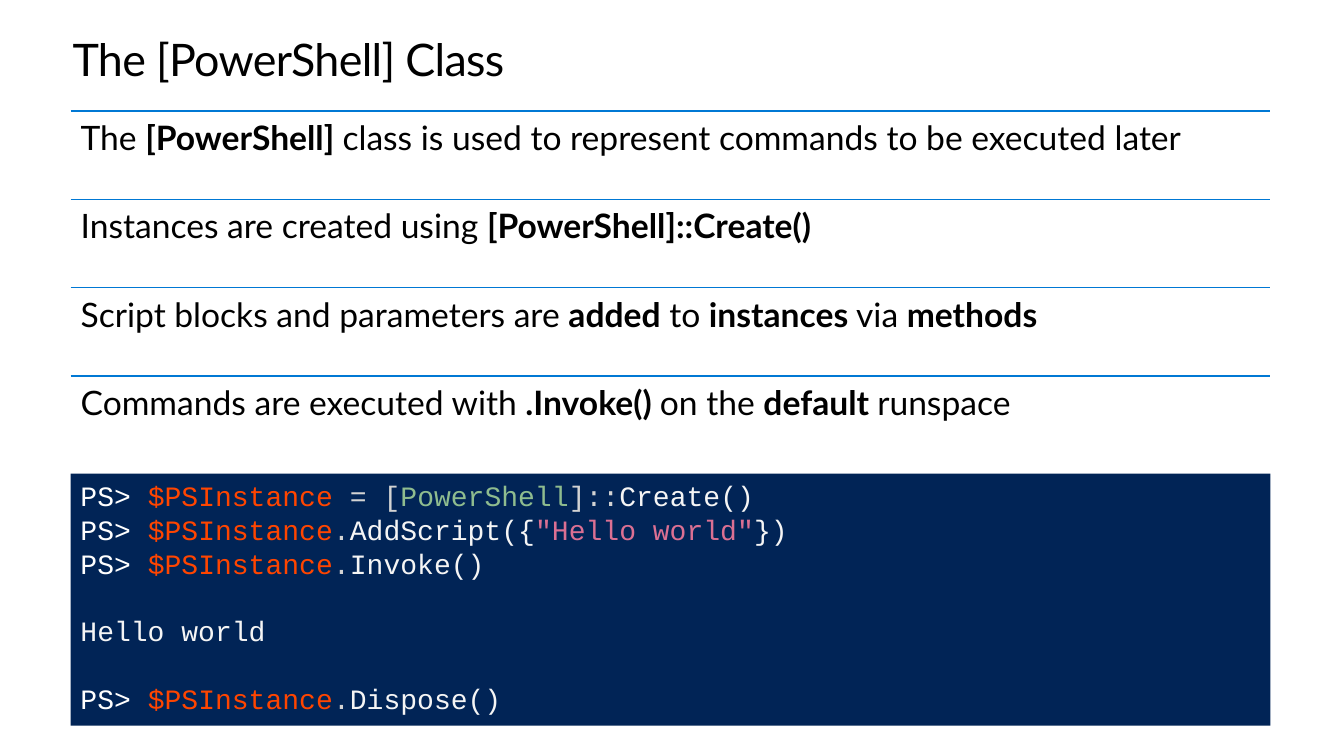
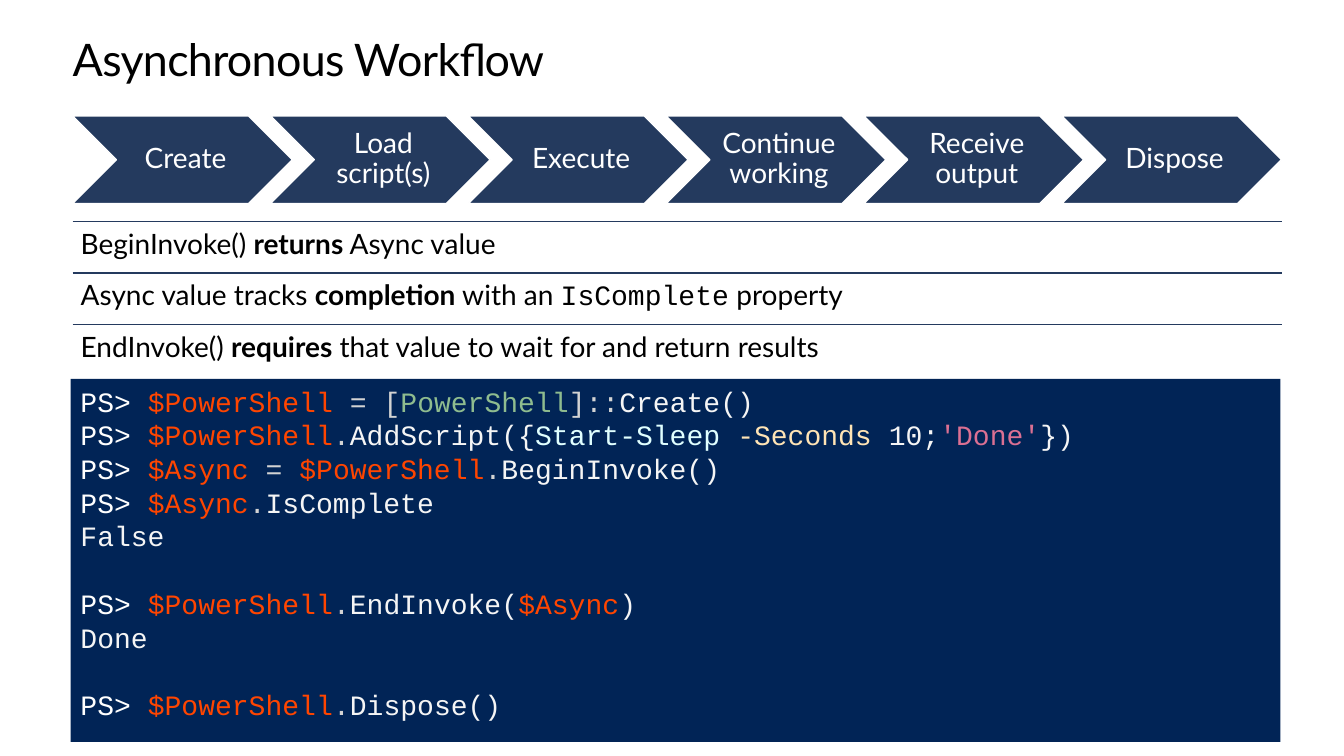
from lxml.etree import SubElement
from pptx import Presentation
from pptx.dml.color import RGBColor
from pptx.enum.shapes import MSO_CONNECTOR, MSO_SHAPE
from pptx.enum.text import MSO_ANCHOR, MSO_AUTO_SIZE, PP_ALIGN
from pptx.oxml.ns import qn
from pptx.util import Inches, Pt

COLORS = {
    "white": "FFFFFF",
    "text": "000000",
    "blue": "0078D4",
    "navy": "243A5E",
    "console": "012456",
    "variable": "FF4500",
    "operator": "D3D3D3",
    "type": "8FBC8F",
    "member": "F5F5F5",
    "string": "DB7093",
    "command": "E0FFFF",
    "parameter": "FFE4B5",
}
SANS, MONO = "Lato", "Courier New"
CELL = 0.1
CODE_LINE = Pt(24.1)

prompt = ("PS> ", "white")
dot = (".", "operator")
instance = ("$PSInstance", "variable")
shell = ("$PowerShell", "variable")
result = ("$Async", "variable")
create = [(" = [", "operator"), ("PowerShell", "type"),
          ("]::", "operator"), ("Create()", "member")]

slides = [
    {
        "title": "The [PowerShell] Class",
        "accent": "blue",
        "list": {"left": 7, "top": 11, "width": 119, "pitch": 8.77,
                 "inset": 1, "size": 24},
        "items": [
            [("The ", ""), ("[PowerShell] ", "bold"),
             ("class is used to represent commands to be executed later", "")],
            [("Instances are created using ", ""),
             ("[PowerShell]::Create()", "bold")],
            [("Script blocks and parameters are ", ""), ("added", "bold"),
             (" to ", ""), ("instances", "bold"), (" via ", ""),
             ("methods", "bold")],
            [("Commands are executed with ", ""), (".Invoke() ", "bold"),
             ("on the ", ""), ("default ", "bold"), ("runspace", "")],
        ],
        "steps": [],
        "console": (7, 47, 119, 25),
        "code": [
            [[prompt, instance, *create],
             [prompt, instance, dot, ("AddScript({", "member"),
              ('"Hello world"', "string"), ("})", "member")],
             [prompt, instance, dot, ("Invoke()", "member")]],
            [[("Hello world", "member")]],
            [[prompt, instance, dot, ("Dispose()", "member")]],
        ],
    },
    {
        "title": "Asynchronous Workflow",
        "accent": "navy",
        "list": {"left": 7.2, "top": 22, "width": 120, "pitch": 5.1,
                 "inset": 0.8, "size": 20},
        "items": [
            [("BeginInvoke() ", ""), ("returns", "bold"), (" Async value", "")],
            [("Async value tracks ", ""), ("completion", "bold"),
             (" with an ", ""), ("IsComplete", "mono"), (" property", "")],
            [("EndInvoke() ", ""), ("requires", "bold"),
             (" that value to wait for and return results", "")],
        ],
        "steps": ["Create", "Load script(s)", "Execute", "Continue working",
                  "Receive output", "Dispose"],
        "console": (7, 37.6, 120, 36),
        "code": [
            [[prompt, shell, *create],
             [prompt, shell, dot, ("AddScript({", "member"),
              ("Start-Sleep ", "command"), ("-Seconds", "parameter"),
              (" 10;", "member"), ("'Done'", "string"), ("})", "member")],
             [prompt, result, (" = ", "operator"), shell, dot,
              ("BeginInvoke()", "member")],
             [prompt, result, dot, ("IsComplete", "member")],
             [("False", "member")]],
            [[prompt, shell, dot, ("EndInvoke(", "member"), result,
              (")", "member")],
             [("Done", "member")]],
            [[prompt, shell, dot, ("Dispose()", "member")]],
        ],
    },
]


def grid(*cells):
    return [Inches(n * CELL) for n in cells]


def add_run(p, text, size, color, font=SANS, bold=False):
    r = p.add_run()
    r.text = text
    r.font.size = Pt(size)
    r.font.name = font
    r.font.bold = bold
    r.font.color.rgb = RGBColor.from_string(COLORS[color])
    return r


prs = Presentation()
prs.slide_width, prs.slide_height = Inches(13.33), Inches(7.5)
layout = prs.slide_layouts[1]

for data in slides:
    s = prs.slides.add_slide(layout)
    accent = RGBColor.from_string(COLORS[data["accent"]])

    sp = s.shapes.title
    sp.left, sp.top, sp.width, sp.height = grid(7.2, 3.5, 119, 5)
    tf = sp.text_frame
    tf.margin_left = tf.margin_right = tf.margin_top = tf.margin_bottom = 0
    tf.auto_size = MSO_AUTO_SIZE.NONE
    tf.vertical_anchor = MSO_ANCHOR.TOP
    p = tf.paragraphs[0]
    p.alignment = PP_ALIGN.LEFT
    p.line_spacing = Pt(36.2)
    r = add_run(p, data["title"], 32, "text")
    r.font._element.set("spc", "-50")

    box = data["list"]
    left, top, width, pitch, inset = grid(
        box["left"], box["top"], box["width"], box["pitch"], box["inset"])
    sp = s.placeholders[1]
    sp.left, sp.top, sp.width = left, top, width
    sp.height = pitch * len(data["items"])
    tf = sp.text_frame
    tf.margin_left = tf.margin_right = tf.margin_top = tf.margin_bottom = inset
    tf.auto_size = MSO_AUTO_SIZE.NONE
    tf.vertical_anchor = MSO_ANCHOR.TOP
    line = Pt(box["size"] * 1.08)
    for i, item in enumerate(data["items"]):
        p = tf.add_paragraph() if i else tf.paragraphs[0]
        p.line_spacing = line
        p.space_before = pitch - line if i else 0
        p.space_after = 0
        pPr = p._p.get_or_add_pPr()
        pPr.set("marL", "0")
        pPr.set("indent", "0")
        SubElement(pPr, qn("a:buNone"))
        for text, style in item:
            add_run(p, text, box["size"], "text",
                    MONO if style == "mono" else SANS, style == "bold")
        y = top + i * pitch
        rule = s.shapes.add_connector(MSO_CONNECTOR.STRAIGHT,
                                      left, y, left + width, y)
        rule.line.color.rgb = accent
        rule.line.width = Pt(1)
        SubElement(rule._element.spPr, qn("a:effectLst"))

    for i, step in enumerate(data["steps"]):
        sp = s.shapes.add_shape(
            MSO_SHAPE.CHEVRON, *grid(7.2 + i * 0.9 * 21.8, 11.5, 21.8, 8.7))
        sp.shadow.inherit = False
        sp.fill.solid()
        sp.fill.fore_color.rgb = accent
        sp.line.color.rgb = RGBColor.from_string(COLORS["white"])
        sp.line.width = Pt(1)
        tf = sp.text_frame
        tf.word_wrap = True
        tf.vertical_anchor = MSO_ANCHOR.MIDDLE
        tf.margin_left, tf.margin_right, tf.margin_top, tf.margin_bottom = grid(
            0.9, 0.3, 0.3, 0.3)
        p = tf.paragraphs[0]
        p.alignment = PP_ALIGN.CENTER
        p.line_spacing = 0.9
        add_run(p, step, 20, "white")

    sp = s.shapes.add_shape(MSO_SHAPE.RECTANGLE, *grid(*data["console"]))
    sp.shadow.inherit = False
    sp.fill.solid()
    sp.fill.fore_color.rgb = RGBColor.from_string(COLORS["console"])
    sp.line.fill.background()
    tf = sp.text_frame
    tf.word_wrap = True
    tf.vertical_anchor = MSO_ANCHOR.TOP
    for b, block in enumerate(data["code"]):
        for i, tokens in enumerate(block):
            p = tf.add_paragraph() if b or i else tf.paragraphs[0]
            p.alignment = PP_ALIGN.LEFT
            p.line_spacing = CODE_LINE
            p.space_before = CODE_LINE if b and not i else 0
            for text, color in tokens:
                add_run(p, text, 20, color, MONO)

prs.save("out.pptx")
